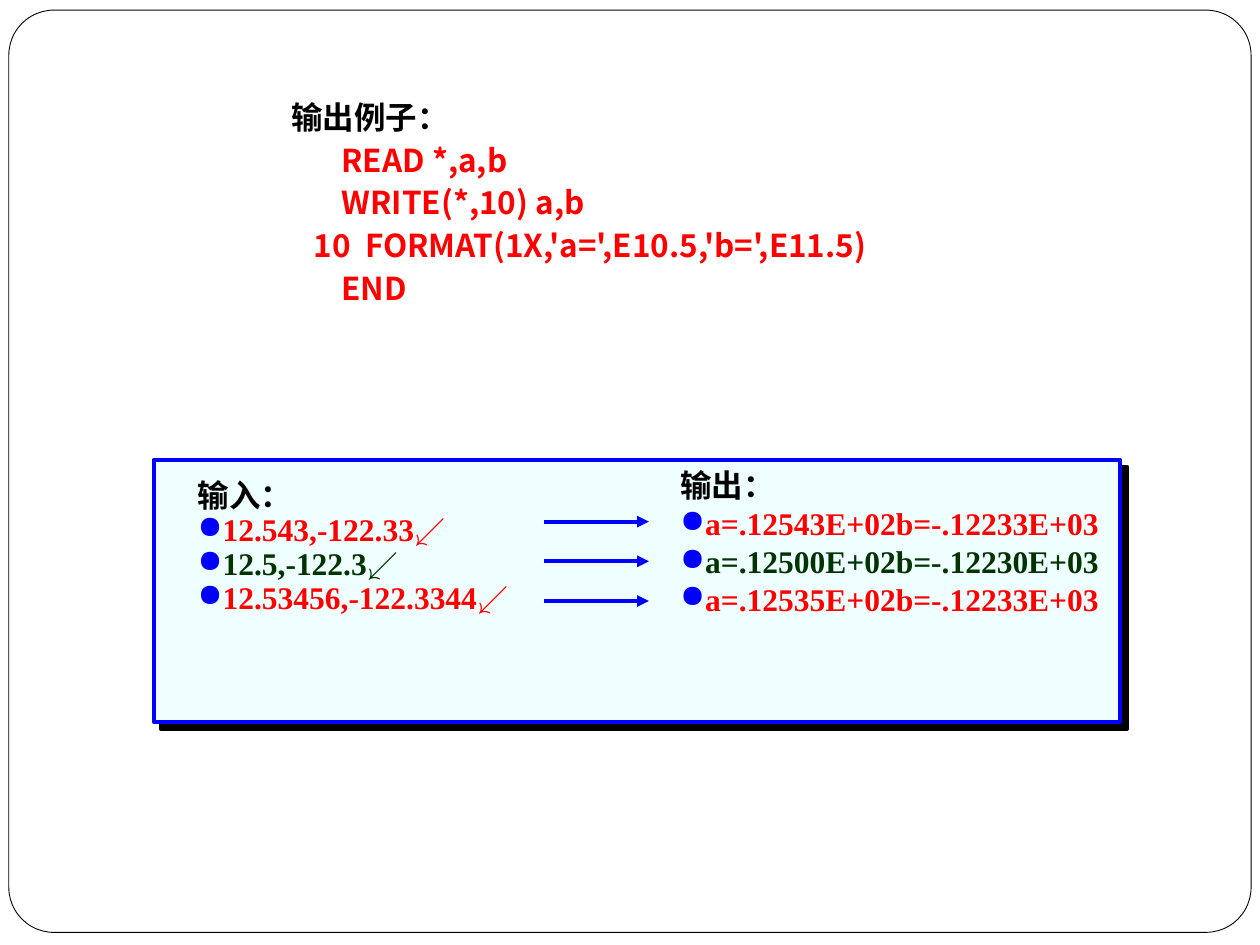
from lxml import etree
from pptx import Presentation
from pptx import util as u
from pptx.dml.color import RGBColor
from pptx.enum import shapes, text
from pptx.oxml import ns

BLACK = RGBColor(0x00, 0x00, 0x00)
WHITE = RGBColor(0xFF, 0xFF, 0xFF)
RED = RGBColor(0xFF, 0x00, 0x00)
GREEN = RGBColor(0x00, 0x33, 0x00)
BLUE = RGBColor(0x00, 0x00, 0xFF)
PALE = RGBColor(0xEF, 0xFF, 0xFF)
CJK_FONT = "Noto Sans CJK SC"
LATIN_FONT = "Times New Roman"

HEADING = "输出例子："
CODE = [  # (indent in inches, statement)
    (0.4, "READ *,a,b"),
    (0.4, "WRITE(*,10) a,b"),
    (0.18, "10  FORMAT(1X,'a=',E10.5,'b=',E11.5)"),
    (0.4, "END"),
]
INPUTS = ["12.543,-122.33↙", "12.5,-122.3↙", "12.53456,-122.3344↙"]
OUTPUTS = ["a=.12543E+02b=-.12233E+03", "a=.12500E+02b=-.12230E+03",
           "a=.12535E+02b=-.12233E+03"]
ROW_COLORS = [RED, GREEN, RED]


def inches(*lengths):
    return [u.Inches(length) for length in lengths]


def child(parent, tag, **attributes):
    return etree.SubElement(parent, ns.qn(tag), attributes)


def add_span(para, words, color, font):
    span = para.add_run()
    span.text = words
    span.font.size = u.Pt(18)
    span.font.bold = True
    span.font.name = font
    span.font.color.rgb = color
    child(span.font._element, "a:ea", typeface=CJK_FONT)


def next_para(frame, index):
    return frame.paragraphs[0] if index == 0 else frame.add_paragraph()


def add_frame(page, left, top, width, height):
    box = page.shapes.add_shape(shapes.MSO_SHAPE.ROUNDED_RECTANGLE,
                                *inches(left, top, width, height))
    box.adjustments[0] = 0.049
    box.shadow.inherit = False
    box.fill.background()
    box.line.color.rgb = BLACK
    box.line.width = u.Pt(0.5)


def fill_code(body, left, top, width, height):
    body.left, body.top, body.width, body.height = inches(left, top, width, height)
    frame = body.text_frame
    frame.auto_size = text.MSO_AUTO_SIZE.NONE
    frame.word_wrap = True
    for index, (indent, words) in enumerate([(0, HEADING)] + CODE):
        para = next_para(frame, index)
        para.line_spacing = 0.9
        para.space_before = u.Pt(5)
        properties = para._p.get_or_add_pPr()
        properties.set("marL", str(u.Inches(indent)))
        properties.set("indent", "0")
        child(properties, "a:buNone")
        add_span(para, words, RED if index else BLACK, CJK_FONT)


def add_list(group, heading, rows, spacing, left, top, width, height):
    box = group.shapes.add_textbox(*inches(left, top, width, height))
    frame = box.text_frame
    frame.word_wrap = True
    add_span(frame.paragraphs[0], heading, BLACK, LATIN_FONT)
    for words, color in zip(rows, ROW_COLORS):
        para = frame.add_paragraph()
        para.line_spacing = spacing
        properties = para._p.get_or_add_pPr()
        child(child(properties, "a:buClr"), "a:srgbClr", val=str(BLUE))
        child(properties, "a:buChar", char="●")
        add_span(para, words, color, LATIN_FONT)


def add_arrow(group, left, top, length):
    arrow = group.shapes.add_connector(
        shapes.MSO_CONNECTOR.STRAIGHT, *inches(left, top, left + length, top))
    arrow.line.color.rgb = BLUE
    arrow.line.width = u.Pt(2.25)
    child(arrow.line._get_or_add_ln(), "a:tailEnd", type="triangle")
    child(arrow._element.spPr, "a:effectLst")


def add_panel(page, left, top, width, height):
    """Shadowed panel that maps each input row to its output row."""
    group = page.shapes.add_group_shape()
    panel = group.shapes.add_shape(shapes.MSO_SHAPE.RECTANGLE,
                                   *inches(left, top, width, height))
    panel.fill.solid()
    panel.fill.fore_color.rgb = PALE
    panel.line.color.rgb = BLUE
    panel.line.width = u.Pt(2.25)
    panel.shadow.inherit = False
    effects = panel._element.spPr.find(ns.qn("a:effectLst"))
    shadow = child(effects, "a:outerShdw", dist=str(u.Pt(5.7)), dir="2700000",
                   algn="ctr", rotWithShape="0")
    child(shadow, "a:srgbClr", val=str(BLACK))

    add_list(group, "输出：", OUTPUTS, 1.0, left + 4.08, top, 3.58, 1.31)
    add_list(group, "输入：", INPUTS, 0.9, left + 0.25, top + 0.08, 3.08, 1.67)
    for row in range(len(INPUTS)):
        add_arrow(group, left + 3.1, top + 0.49 + row * 0.315, 0.83)


def main():
    deck = Presentation()
    deck.slide_width, deck.slide_height = inches(10, 7.5)
    page = deck.slides.add_slide(deck.slide_layouts[1])
    page.background.fill.solid()
    page.background.fill.fore_color.rgb = WHITE
    title, body = page.placeholders
    title._element.getparent().remove(title._element)
    add_frame(page, 0.07, 0.08, 9.86, 7.32)
    fill_code(body, 2.21, 0.76, 5, 2.34)
    add_panel(page, 1.22, 3.65, 7.67, 2.08)
    deck.save("out.pptx")


if __name__ == "__main__":
    main()
